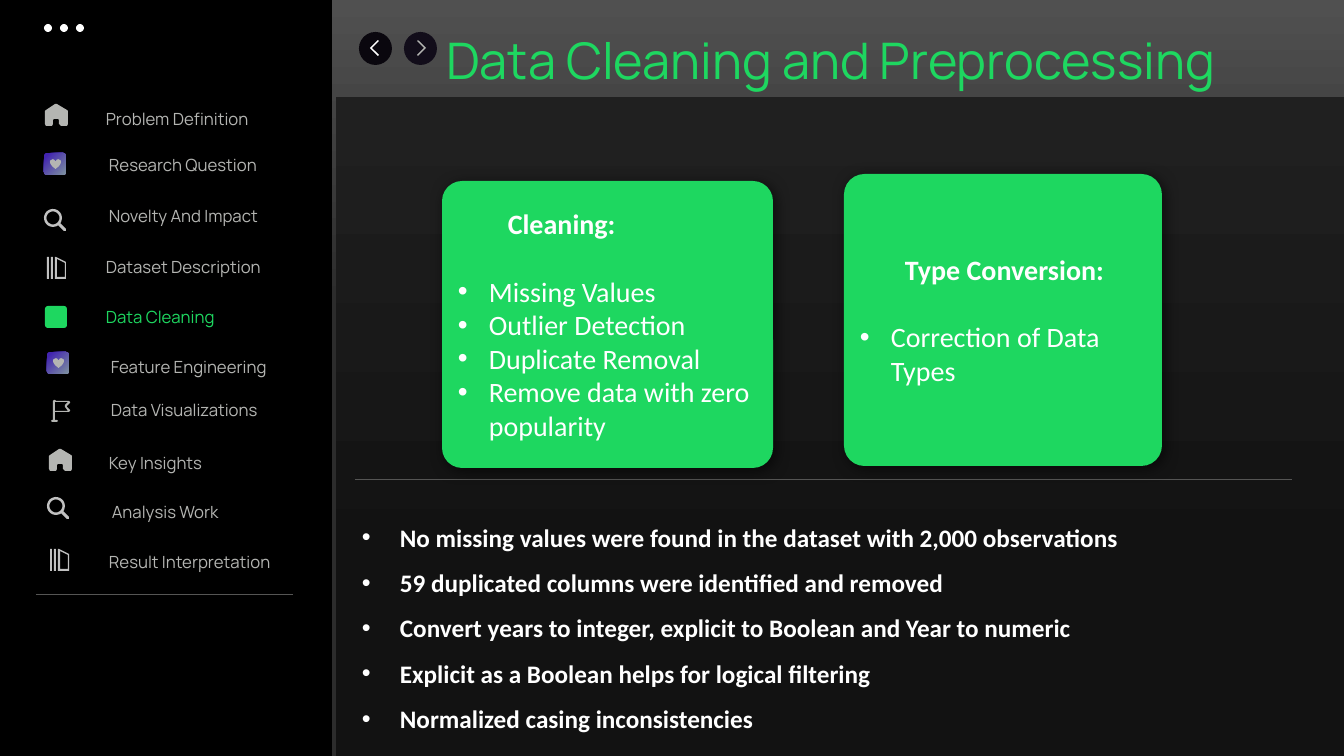
from math import cos, radians, sin

from lxml.etree import SubElement
from pptx import Presentation
from pptx.dml.color import RGBColor
from pptx.enum.shapes import MSO_CONNECTOR, MSO_SHAPE
from pptx.enum.text import MSO_ANCHOR, MSO_AUTO_SIZE, PP_ALIGN
from pptx.oxml.ns import qn
from pptx.util import Pt

PX = 914400 / 100.8
COLORS = {
    "black": "000000", "white": "FFFFFF", "green": "1ED760", "label": "B4B5B2",
    "icon": "C1C1C1", "rule": "555554", "back": "0A070E", "forward": "120D1A",
    "page top": "505050", "page bottom": "2C2C2C",
    "panel top": "202020", "panel bottom": "121212",
    "tile start": "4224B0", "tile end": "7F93A0",
}

TITLE = "Data Cleaning and Preprocessing"
# label, label position, icon, icon position
MENU = [
    ("Problem Definition", (96, 104), "home", (45, 104)),
    ("Research Question", (99, 150), "heart", (44, 153)),
    ("Novelty And Impact", (99, 201), "magnifier", (44, 209)),
    ("Dataset Description", (96, 252), "books", (47, 257)),
    ("Data Cleaning", (96, 302), "square", (45, 306)),
    ("Feature Engineering", (101, 352), "heart", (47, 352)),
    ("Data Visualizations", (101, 395), "flag", (51, 400)),
    ("Key Insights", (99, 448), "home", (49, 449)),
    ("Analysis Work", (102, 497), "magnifier", (47, 497)),
    ("Result Interpretation", (99, 547), "books", (50, 549)),
]
ACTIVE = "Data Cleaning"
# heading, heading indent, bullets, box
CARDS = [
    ("Cleaning:", 50,
     ["Missing Values", "Outlier Detection", "Duplicate Removal",
      "Remove data with zero popularity"], (442, 181, 331, 287)),
    ("Type Conversion:", 45, ["Correction of Data Types"], (844, 174, 318, 292)),
]
FINDINGS = [
    "No missing values were found in the dataset with 2,000 observations",
    "59 duplicated columns were identified and removed",
    "Convert years to integer, explicit to Boolean and Year to numeric",
    "Explicit as a Boolean helps for logical filtering",
    "Normalized casing inconsistencies",
]
RULES = [(355, 1292, 479), (36, 293, 594)]


def arc(radius, start, end):
    angles = [radians(start + (end - start) * step / 24) for step in range(25)]
    return [(9 + radius * cos(angle), 9 + radius * sin(angle)) for angle in angles]


def bar(left):
    return [(left, 0), (left + 2, 0), (left + 2, 22), (left, 22)]


CHEVRON = [(8, 16), (0, 8), (8, 0), (9, 1), (2, 8), (9, 15)]
ICONS = {
    "home": ("label", [[
        (0, 7), (1, 6), (10, 0), (12, 0), (22, 6), (23, 7), (23, 20), (22, 22),
        (16, 22), (14, 20), (14, 16), (13, 15), (9, 15), (8, 16), (8, 20),
        (7, 22), (1, 22), (0, 20)]]),
    "flag": ("label", [
        [(19, 10), (16, 7), (16, 6), (19, 3), (19, 2), (18, 1), (5, 1), (4, 0),
         (3, 0), (2, 1), (2, 20), (1, 20), (0, 21), (1, 22), (6, 22), (7, 21),
         (6, 20), (4, 20), (4, 12), (18, 12), (19, 11)],
        [(17, 11), (4, 11), (4, 2), (17, 2), (14, 5), (14, 7)]]),
    "magnifier": ("icon", [
        arc(9, 55, 395) + [(22, 20), (22, 22), (20, 22)], arc(6.5, 0, 360)]),
    "books": ("icon", [
        bar(0), bar(4), [(8, 0), (9, 0), (19, 5), (19, 22), (8, 22)],
        [(10, 2), (18, 6), (18, 20), (10, 20)]]),
    "back": ("white", [CHEVRON]),
    "forward": ("label", [[(9 - x, y) for x, y in CHEVRON]]),
}


def px(*values):
    return [round(value * PX) for value in values]


def rgb(name):
    return RGBColor.from_string(COLORS[name])


def paint(fill, color):
    fill.solid()
    fill.fore_color.rgb = rgb(color)


def paint_gradient(fill, colors, positions, angle):
    fill.gradient()
    fill.gradient_angle = angle
    for stop, color, position in zip(fill.gradient_stops, colors, positions):
        stop.color.rgb = rgb(color)
        stop.position = position


def add_shape(kind, box, color, corner=None):
    shape = slide.shapes.add_shape(kind, *px(*box))
    shape.shadow.inherit = False
    shape.line.fill.background()
    paint(shape.fill, color)
    if corner is not None:
        shape.adjustments[0] = corner
    return shape


def add_icon(name, left, top):
    if name in ICONS:
        color, contours = ICONS[name]
        builder = None
        for contour in contours:
            points = [(round(x * 10), round(y * 10)) for x, y in contour]
            if builder is None:
                builder = slide.shapes.build_freeform(*points[0], scale=PX / 10)
            else:
                builder.move_to(*points[0])
            builder.add_line_segments(points[1:], close=True)
        shape = builder.convert_to_shape(*px(left, top))
        shape.shadow.inherit = False
        shape.line.fill.background()
        paint(shape.fill, color)
        return
    tile = add_shape(MSO_SHAPE.ROUNDED_RECTANGLE, (left, top, 22, 22), "green", 0.13)
    if name == "heart":
        paint_gradient(tile.fill, ("tile start", "tile end"), (0.11, 1), 315)
        add_shape(MSO_SHAPE.HEART, (left + 6, top + 6, 11, 10), "label")


def add_text_box(box):
    frame = slide.shapes.add_textbox(*px(*box)).text_frame
    frame.word_wrap = True
    return frame


def style(paragraph, size, color, font="Calibri", bold=False):
    paragraph.alignment = PP_ALIGN.LEFT
    paragraph.font.name, paragraph.font.size = font, Pt(size)
    paragraph.font.color.rgb = rgb(color)
    paragraph.font.bold = bold


def indent(paragraph, margin, bullet=False):
    properties = paragraph._p.get_or_add_pPr()
    properties.set("marL", str(px(margin)[0]))
    properties.set("indent", str(px(-margin if bullet else 0)[0]))
    if bullet:
        SubElement(properties, qn("a:buFont")).set("typeface", "Arial")
        SubElement(properties, qn("a:buChar")).set("char", "•")


def add_card_shadow(shape):
    effects = shape._element.spPr.find(qn("a:effectLst"))
    shadow = SubElement(effects, qn("a:outerShdw"), blurRad=str(Pt(10)),
                        dist=str(Pt(3)), dir="2700000", algn="tl", rotWithShape="0")
    color = SubElement(shadow, qn("a:srgbClr"), val=COLORS["black"])
    SubElement(color, qn("a:alpha"), val="60000")


presentation = Presentation()
presentation.slide_width, presentation.slide_height = px(1344, 756)
slide = presentation.slides.add_slide(presentation.slide_layouts[5])
paint_gradient(slide.background.fill, ("page top", "page bottom"), (0, 0.4), 270)

add_shape(MSO_SHAPE.RECTANGLE, (0, 0, 332, 756), "black")
panel = add_shape(MSO_SHAPE.RECTANGLE, (336, 97, 1008, 659), "black")
paint_gradient(panel.fill, ("panel top", "panel bottom"), (0, 0.73), 270)
for index in range(3):
    add_shape(MSO_SHAPE.OVAL, (44 + 16 * index, 24, 8, 8), "white")

title = slide.shapes.title
title.left, title.top, title.width, title.height = px(436, 24, 909, 72)
title.text_frame.text = TITLE
title.text_frame.vertical_anchor = MSO_ANCHOR.TOP
title.text_frame.auto_size = MSO_AUTO_SIZE.SHAPE_TO_FIT_TEXT
style(title.text_frame.paragraphs[0], 36, "green", "Manrope")

for name, left, chevron_left in (("back", 359, 370), ("forward", 404, 417)):
    add_shape(MSO_SHAPE.OVAL, (left, 32, 33, 33), name)
    add_icon(name, chevron_left, 40)

for start, end, y in RULES:
    rule = slide.shapes.add_connector(MSO_CONNECTOR.STRAIGHT, *px(start, y, end, y))
    rule.line.color.rgb, rule.line.width = rgb("rule"), Pt(0.5)
    SubElement(rule._element.spPr, qn("a:effectLst"))

for heading, heading_indent, bullets, box in CARDS:
    card = add_shape(MSO_SHAPE.ROUNDED_RECTANGLE, box, "green", 0.07)
    add_card_shadow(card)
    frame = card.text_frame
    frame.vertical_anchor = MSO_ANCHOR.MIDDLE
    frame.text = "\n".join([heading] + bullets)
    for index, paragraph in enumerate(frame.paragraphs):
        style(paragraph, 20, "white", bold=index == 0)
        indent(paragraph, 31 if index else heading_indent, bullet=index > 0)
    frame.paragraphs[0].space_after = Pt(24)

findings = add_text_box((352, 502, 799, 235))
findings.text = "\n".join(FINDINGS)
for paragraph in findings.paragraphs:
    style(paragraph, 18, "white", bold=True)
    paragraph.line_spacing = 1.5
    indent(paragraph, 38, bullet=True)

for label, (left, top), icon, icon_position in MENU:
    frame = add_text_box((left, top, 219, 30))
    frame.text = label
    style(frame.paragraphs[0], 12, "green" if label == ACTIVE else "label", "Manrope")
    add_icon(icon, *icon_position)

presentation.save("out.pptx")
